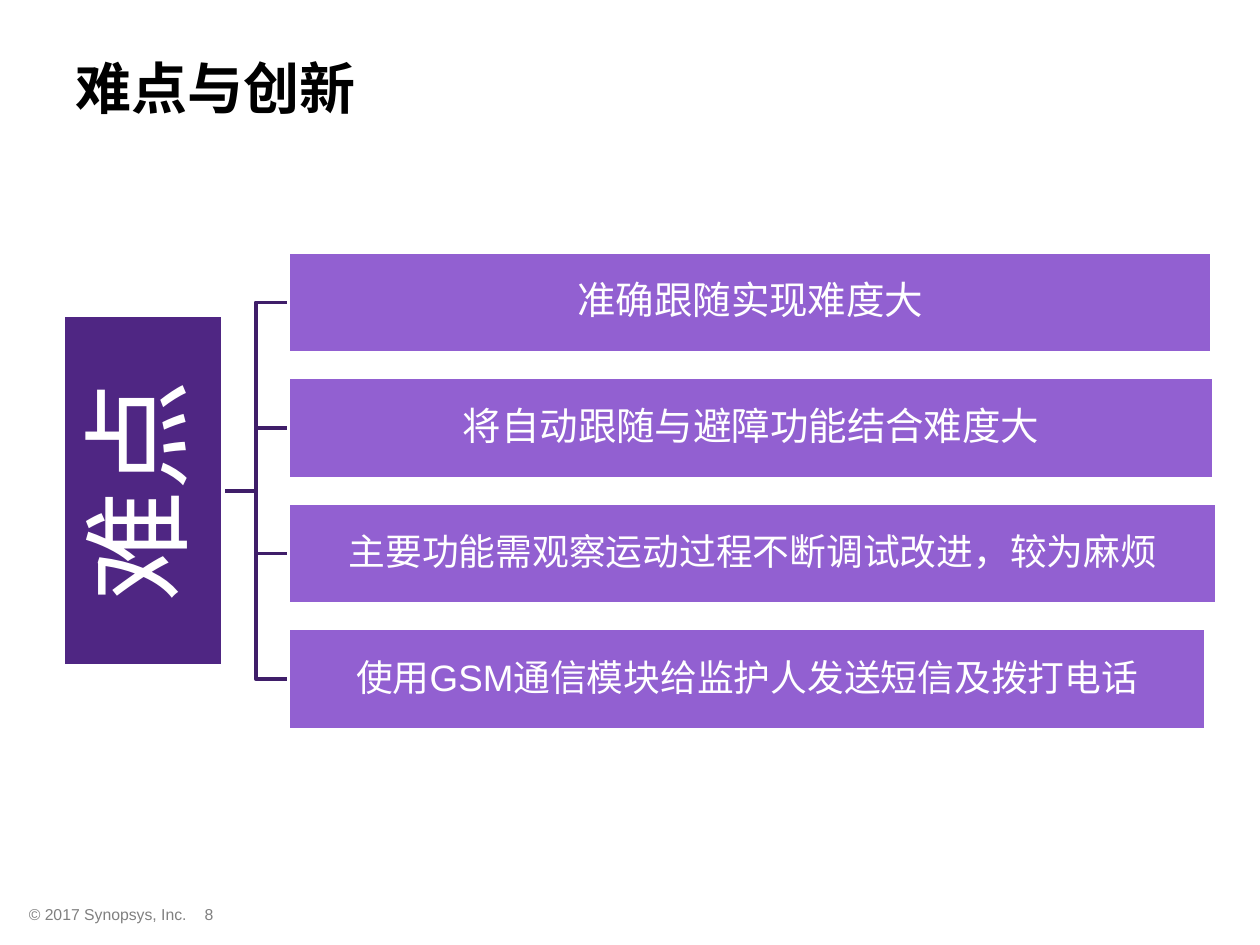
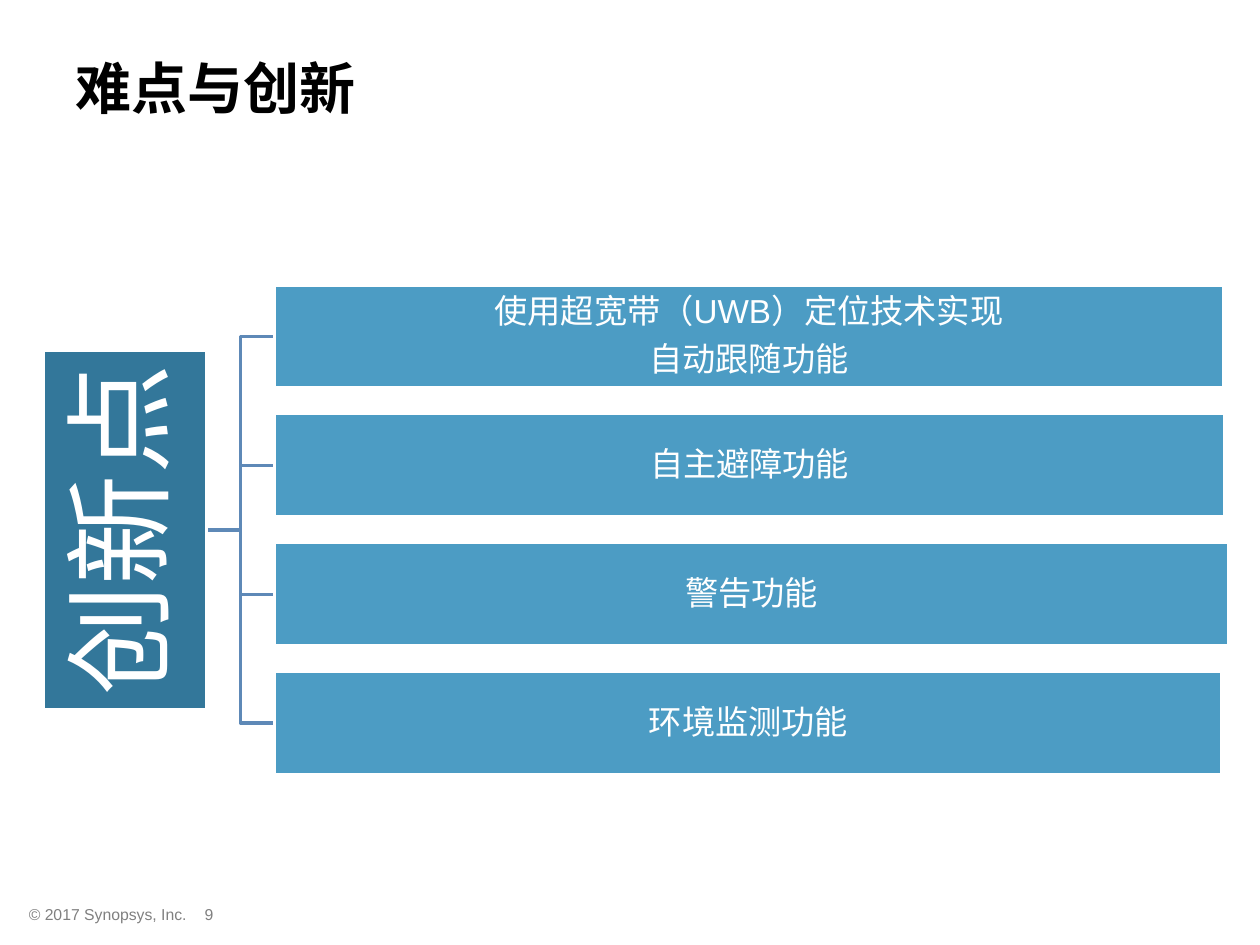
import pptx
import pptx.dml.color
import pptx.enum.lang
import pptx.enum.shapes
import pptx.enum.text
import pptx.oxml
import pptx.oxml.ns
import pptx.util
from pptx.util import Inches

COLORS = {
    "black": "000000", "white": "FFFFFF", "footer": "808080",
    "purple_root": "4F2683", "purple_branch": "9260D1", "purple_line": "3F1E69",
    "blue_root": "005581", "blue_branch": "0072AC", "blue_line": "5E89B7",
}
FONT = "Arial"
ALIGN = pptx.enum.text.PP_ALIGN
MIDDLE = pptx.enum.text.MSO_ANCHOR.MIDDLE


def rgb(name):
    return pptx.dml.color.RGBColor.from_string(COLORS[name])


class Deck:
    """Holds the shared style and the slide being built."""

    def __init__(self):
        self.prs = pptx.Presentation()
        self.prs.slide_width = Inches(10)
        self.prs.slide_height = Inches(7.5)
        self.s = None

    def slide(self, title, number):
        self.s = self.prs.slides.add_slide(self.prs.slide_layouts[5])
        sp = self.s.shapes.title
        sp.left, sp.top, sp.width, sp.height = map(Inches, (0.5, 0.07, 9.5, 1.25))
        self.text(sp.text_frame, [title], 32, "black", ALIGN.LEFT, bold=True, anchor=MIDDLE)
        self.footer("© 2017 Synopsys, Inc.", 0.13, 3.08, ALIGN.LEFT)
        self.footer(str(number), 1.31, 0.7, ALIGN.CENTER)

    def footer(self, words, left, width, align):
        sp = self.s.shapes.add_textbox(Inches(left), Inches(7.13), Inches(width), Inches(0.25))
        self.text(sp.text_frame, [words], 9, "footer", align)

    def text(self, tf, lines, size, color, align, bold=False, anchor=None, inset=None, spacing=None):
        tf.word_wrap = True
        tf.auto_size = pptx.enum.text.MSO_AUTO_SIZE.NONE
        if anchor is not None:
            tf.vertical_anchor = anchor
        if inset is not None:
            tf.margin_left = tf.margin_right = tf.margin_top = tf.margin_bottom = Inches(inset)
        for i, line in enumerate(lines):
            p = tf.paragraphs[0] if i == 0 else tf.add_paragraph()
            p.alignment = align
            if spacing:
                p.line_spacing = spacing
            if i:
                p.space_before = pptx.util.Pt(7)
            r = p.add_run()
            r.text = line
            r.font.name = FONT
            r.font.size = pptx.util.Pt(size)
            r.font.bold = bold
            r.font.color.rgb = rgb(color)
            r.font.language_id = pptx.enum.lang.MSO_LANGUAGE_ID.SIMPLIFIED_CHINESE

    def box(self, lines, left, top, width, height, fill, size, inset, opacity=100, rotation=0):
        sp = self.s.shapes.add_shape(pptx.enum.shapes.MSO_SHAPE.RECTANGLE, Inches(left),
                                     Inches(top), Inches(width), Inches(height))
        sp.rotation = rotation
        sp.shadow.inherit = False
        sp.fill.solid()
        sp.fill.fore_color.rgb = rgb(fill)
        if opacity < 100:
            clr = sp.fill._xPr.find(".//" + pptx.oxml.ns.qn("a:srgbClr"))
            alpha = pptx.oxml.parse_xml(
                f'<a:alpha {pptx.oxml.ns.nsdecls("a")} val="{opacity * 1000}"/>')
            clr.append(alpha)
        sp.line.color.rgb = rgb("white")
        sp.line.width = pptx.util.Pt(2)
        self.text(sp.text_frame, lines, size, "white", ALIGN.CENTER, anchor=MIDDLE,
                  inset=inset, spacing=0.9)

    def bracket(self, x1, y1, x2, y2, color):
        """Draws a stepped line that turns halfway between x1 and x2."""
        mid = (x1 + x2) / 2
        points = [(Inches(x), Inches(y)) for x, y in ((mid, y1), (mid, y2), (x2, y2))]
        fb = self.s.shapes.build_freeform(Inches(x1), Inches(y1))
        fb.add_line_segments(points, close=False)
        sp = fb.convert_to_shape()
        sp.shadow.inherit = False
        sp.fill.background()
        sp.line.color.rgb = rgb(color)
        sp.line.width = pptx.util.Pt(2)

    def tree(self, root, root_size, root_right, branches, left, first_top, last_top, height,
             theme, opacities=(100, 100)):
        """Draws an upright root box bracketed to a column of evenly spaced branches."""
        pitch = (last_top - first_top) / (len(branches) - 1)
        tops = [first_top + i * pitch for i in range(len(branches))]
        center = (first_top + last_top + height) / 2
        for top in reversed(tops):
            self.bracket(root_right, center, left, top + height / 2, theme + "_line")
        length, thickness = root_size
        self.box([root], root_right - (thickness + length) / 2, center - thickness / 2, length,
                 thickness, theme + "_root", 63, 0.04, opacities[0], rotation=270)
        for top, (lines, width, size) in zip(tops, branches):
            self.box(lines, left, top, width, height, theme + "_branch", size, 0.01, opacities[1])


def main():
    deck = Deck()
    title = "难点与创新"

    deck.slide(title, 8)
    difficulties = [
        (["准确跟随实现难度大"], 7.33, 22),
        (["将自动跟随与避障功能结合难度大"], 7.34, 22),
        (["主要功能需观察运动过程不断调试改进，较为麻烦"], 7.37, 21),
        (["使用GSM通信模块给监护人发送短信及拨打电话"], 7.28, 21),
    ]
    deck.tree("难点", (2.78, 1.27), 1.77, difficulties, 2.29, 2, 4.99, 0.8, "purple")

    deck.slide(title, 9)
    innovations = [
        (["使用超宽带（UWB）定位技术实现", "自动跟随功能"], 7.53, 19),
        (["自主避障功能"], 7.54, 19),
        (["警告功能"], 7.57, 19),
        (["环境监测功能"], 7.52, 19),
    ]
    deck.tree("创新点", (2.85, 1.3), 1.64, innovations, 2.18, 2.26, 5.33, 0.82, "blue", (80, 70))

    deck.prs.save("out.pptx")


if __name__ == "__main__":
    main()
